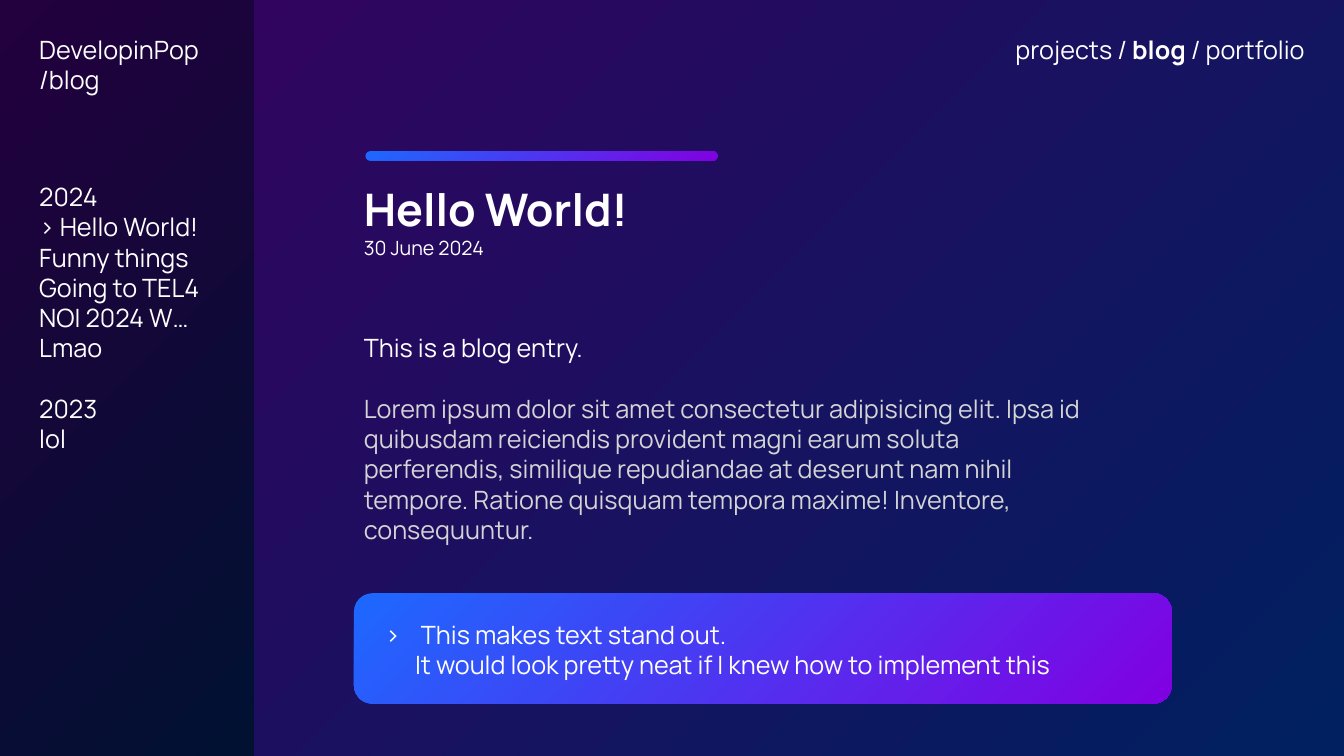
from lxml.etree import SubElement
from pptx import Presentation
from pptx.dml.color import RGBColor
from pptx.enum.shapes import MSO_SHAPE
from pptx.enum.text import MSO_AUTO_SIZE, PP_ALIGN
from pptx.oxml.ns import qn
from pptx.util import Cm, Pt

# Content: a paragraph is a string, or a list of (text, bold) pairs
SITE = ["DevelopinPop", "/blog"]
POSTS = ["2024", "> Hello World!", "Funny things", "Going to TEL4",
         "NOI 2024 W…", "Lmao", "2023", "lol"]
MENU = [[("projects / ", False), ("blog", True), (" / portfolio", False)]]
TITLE = [[("Hello World!", True)]]
DATE = ["30 June 2024"]
INTRO = "This is a blog entry."
LOREM = ("Lorem ipsum dolor sit amet consectetur adipisicing elit. Ipsa id "
         "quibusdam reiciendis provident magni earum soluta perferendis, "
         "similique repudiandae at deserunt nam nihil tempore. Ratione quisquam "
         "tempora maxime! Inventore, consequuntur.")
CALLOUT = [">\tThis makes text stand out.",
           "It would look pretty neat if I knew how to implement this"]

COLORS = {
    "text": "FFFFFF", "muted": "D4D4D4",
    "page_end": "002060", "page_start": "370060",
    "side_end": "001132", "side_start": "23003E",
    "accent_end": "8100E2", "accent_start": "1D68FF",
}
FONT = "Manrope"
BLANK_LINE = 21.6  # points, one line of 18 pt text

# Layout in cm
WIDTH, HEIGHT = 33.87, 19.05
SIDE_WIDTH = 6.4
MARGIN = 0.74
BODY_LEFT = 8.92
TOP_ROW, TITLE_ROW = 0.74, 4.45
MENU_WIDTH = 18.54
CALLOUT_TOP, CALLOUT_WIDTH, CALLOUT_HEIGHT = 14.95, 20.61, 2.78
CALLOUT_PAD = 0.53

deck = Presentation()
deck.slide_width, deck.slide_height = Cm(WIDTH), Cm(HEIGHT)
slide = deck.slides.add_slide(deck.slide_layouts[6])


def add_panel(left, top, width, height, palette, kind=MSO_SHAPE.RECTANGLE):
    """Shape whose radial gradient starts from its bottom right corner."""
    panel = slide.shapes.add_shape(kind, Cm(left), Cm(top), Cm(width), Cm(height))
    panel.shadow.inherit = False
    panel.line.fill.background()
    panel.fill.gradient()
    for stop, position, end in zip(panel.fill.gradient_stops, (0, 1), ("end", "start")):
        stop.position = position
        stop.color.rgb = RGBColor.from_string(COLORS[f"{palette}_{end}"])
    gradient = panel.fill._xPr.find(qn("a:gradFill"))
    gradient.remove(gradient.find(qn("a:lin")))
    radial = SubElement(gradient, qn("a:path"), path="circle")
    SubElement(radial, qn("a:fillToRect"), l="100000", t="100000")
    SubElement(gradient, qn("a:tileRect"), r="-100000", b="-100000")
    return panel


def add_text(paragraphs, left, top, width, height, size=18, align=PP_ALIGN.LEFT,
             colors=None, gap_before=None, hanging=None):
    """gap_before: paragraph index after a blank line; hanging: (margin, indent) pairs."""
    box = slide.shapes.add_textbox(Cm(left), Cm(top), Cm(width), Cm(height))
    frame = box.text_frame
    frame.word_wrap = True
    frame.auto_size = MSO_AUTO_SIZE.SHAPE_TO_FIT_TEXT
    for i, content in enumerate(paragraphs):
        paragraph = frame.paragraphs[0] if i == 0 else frame.add_paragraph()
        paragraph.alignment = align
        if i == gap_before:
            paragraph.space_before = Pt(BLANK_LINE)
        if hanging:
            margin, indent = hanging[i]
            properties = paragraph._p.get_or_add_pPr()
            properties.set("marL", str(Cm(margin)))
            properties.set("indent", str(Cm(indent)))
        for text, bold in [(content, False)] if isinstance(content, str) else content:
            run = paragraph.add_run()
            run.text = text
            run.font.name, run.font.size, run.font.bold = FONT, Pt(size), bold
            color = colors[i] if colors else "text"
            run.font.color.rgb = RGBColor.from_string(COLORS[color])


# Page background and title block
add_panel(0, 0, WIDTH, HEIGHT, "page")
add_text(TITLE, BODY_LEFT, TITLE_ROW, 16.36, 1.63, size=32)
add_text(DATE, BODY_LEFT, 5.82, 15.39, 0.86, size=14)

# Blog entry
add_text([INTRO, LOREM], BODY_LEFT, 8.26, 18.57, 6.4,
         colors=["text", "muted"], gap_before=1)

# Sidebar
add_panel(0, 0, SIDE_WIDTH, HEIGHT, "side")
add_text(SITE, MARGIN, TOP_ROW, MENU_WIDTH, 1.8)
add_text(POSTS, MARGIN, TITLE_ROW, 5.18, 7.19, gap_before=POSTS.index("2023"))

# Menu
add_text(MENU, WIDTH - MARGIN - MENU_WIDTH, TOP_ROW, MENU_WIDTH, 1.02,
         align=PP_ALIGN.RIGHT)

# Callout
add_panel(BODY_LEFT, CALLOUT_TOP, CALLOUT_WIDTH, CALLOUT_HEIGHT, "accent",
          MSO_SHAPE.ROUNDED_RECTANGLE)
add_text(CALLOUT, BODY_LEFT + CALLOUT_PAD, CALLOUT_TOP + CALLOUT_PAD,
         CALLOUT_WIDTH - 2 * CALLOUT_PAD, 1.8, hanging=[(0.91, -0.91), (0.76, 0)])

# Accent bar above the title
accent_bar = add_panel(9.21, 3.81, 8.87, 0.24, "accent", MSO_SHAPE.ROUNDED_RECTANGLE)
accent_bar.adjustments[0] = 0.5

deck.save("out.pptx")
